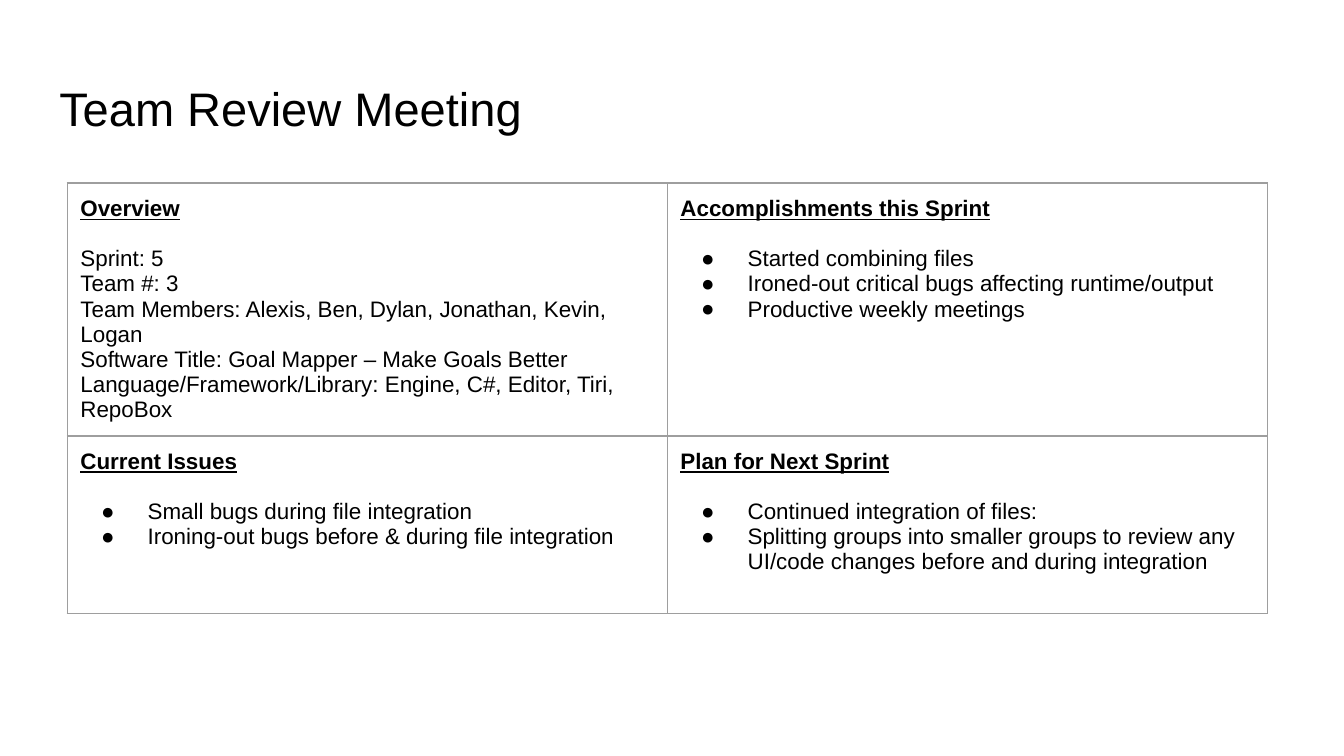
"""Build the Team Review Meeting slide with its two-by-two sprint summary table."""
from lxml import etree
from pptx import Presentation
from pptx.dml.color import RGBColor
from pptx.enum.text import MSO_ANCHOR, MSO_AUTO_SIZE, PP_ALIGN
from pptx.oxml.ns import qn
from pptx.util import Cm, Pt

MIDDLE, LEFT, NO_FIT = MSO_ANCHOR.MIDDLE, PP_ALIGN.LEFT, MSO_AUTO_SIZE.NONE
BLACK = RGBColor(0x00, 0x00, 0x00)
GRAY = RGBColor(0x9E, 0x9E, 0x9E)
FONT = "Arial"
INSET = Cm(0.25)

ROW_HEIGHTS = [Cm(4.78), Cm(3.35)]
SECTIONS = [
    [
        ("Overview", False, [
            "Sprint: 5",
            "Team #: 3",
            "Team Members: Alexis, Ben, Dylan, Jonathan, Kevin, Logan",
            "Software Title: Goal Mapper – Make Goals Better",
            "Language/Framework/Library: Engine, C#, Editor, Tiri, RepoBox",
        ]),
        ("Accomplishments this Sprint", True, [
            "Started combining files",
            "Ironed-out critical bugs affecting runtime/output",
            "Productive weekly meetings",
        ]),
    ],
    [
        ("Current Issues", True, [
            "Small bugs during file integration",
            "Ironing-out bugs before & during file integration",
        ]),
        ("Plan for Next Sprint", True, [
            "Continued integration of files:",
            "Splitting groups into smaller groups to review any "
            "UI/code changes before and during integration",
        ]),
    ],
]


def format_text(p, size, heading=False):
    p.alignment = LEFT
    for r in p.runs:
        r.font.name = FONT
        r.font.size = Pt(size)
        r.font.color.rgb = BLACK
        r.font.bold = heading
        r.font.underline = heading


def add_borders(cell):
    tc_pr = cell._tc.get_or_add_tcPr()
    for i, side in enumerate(("a:lnL", "a:lnR", "a:lnT", "a:lnB")):
        ln = etree.Element(qn(side), w=str(Pt(0.75)))
        fill = etree.SubElement(ln, qn("a:solidFill"))
        etree.SubElement(fill, qn("a:srgbClr"), val=str(GRAY))
        tc_pr.insert(i, ln)


prs = Presentation()
prs.slide_width, prs.slide_height = Cm(25.4), Cm(14.29)
s = prs.slides.add_slide(prs.slide_layouts[5])

title = s.shapes.title
title.left, title.top, title.width, title.height = Cm(0.87), Cm(1.24), Cm(23.67), Cm(1.6)
tf = title.text_frame
tf.text = "Team Review Meeting"
tf.auto_size = NO_FIT
tf.vertical_anchor = MIDDLE
tf.margin_left = tf.margin_right = tf.margin_top = tf.margin_bottom = INSET
format_text(tf.paragraphs[0], 25.2)

table = s.shapes.add_table(2, 2, Cm(1.27), Cm(3.46), Cm(22.68), sum(ROW_HEIGHTS)).table
table.first_row = table.horz_banding = False
for row, height in zip(table.rows, ROW_HEIGHTS):
    row.height = height

for row, sections in zip(table.rows, SECTIONS):
    for cell, (heading, bulleted, lines) in zip(row.cells, sections):
        cell.fill.background()
        add_borders(cell)
        cell.margin_left = cell.margin_right = INSET
        cell.margin_top = cell.margin_bottom = INSET
        tf = cell.text_frame
        tf.text = heading
        format_text(tf.paragraphs[0], 12, heading=True)
        tf.paragraphs[0].space_after = Pt(13.5)
        for line in lines:
            p = tf.add_paragraph()
            p.text = line
            format_text(p, 12)
            if bulleted:
                p_pr = p._p.get_or_add_pPr()
                p_pr.set("marL", str(Cm(1.27)))
                p_pr.set("indent", str(Cm(-0.88)))
                color = etree.SubElement(p_pr, qn("a:buClr"))
                etree.SubElement(color, qn("a:srgbClr"), val=str(BLACK))
                etree.SubElement(p_pr, qn("a:buFont"), typeface=FONT)
                etree.SubElement(p_pr, qn("a:buChar"), char="●")

prs.save("out.pptx")
